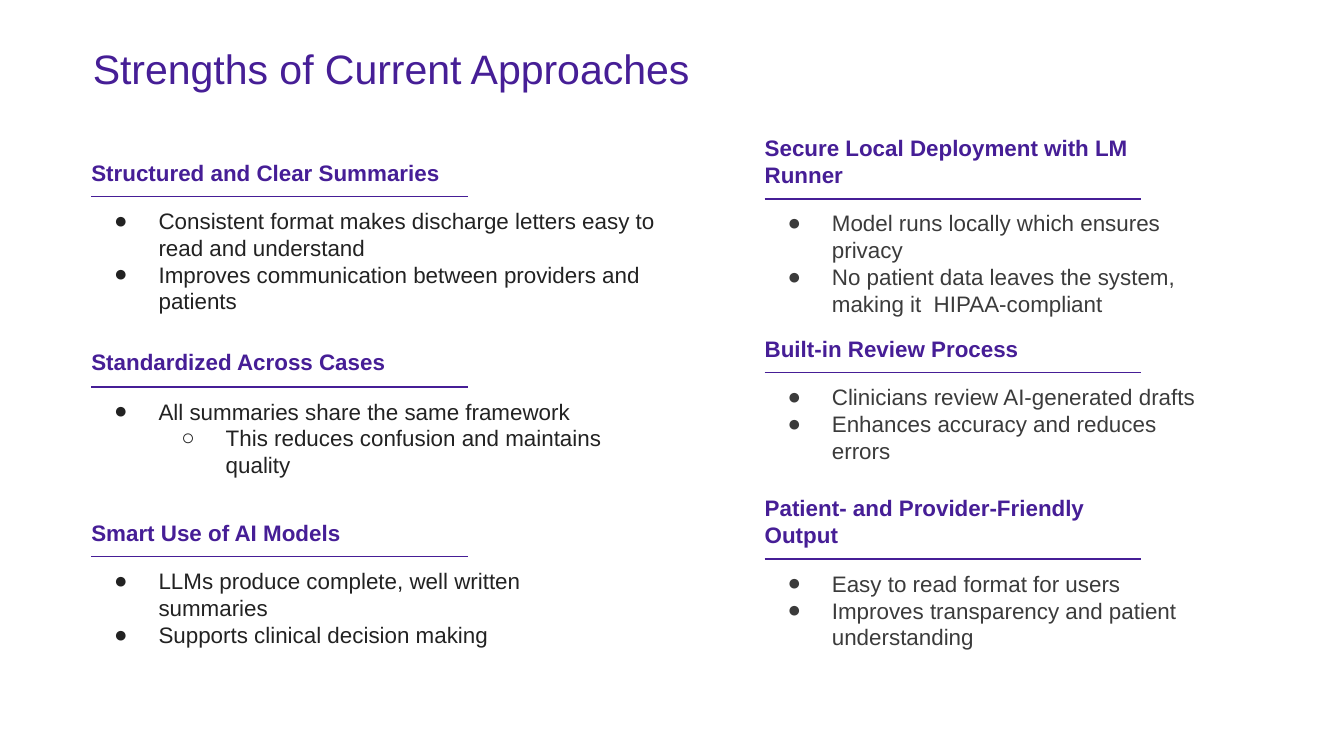
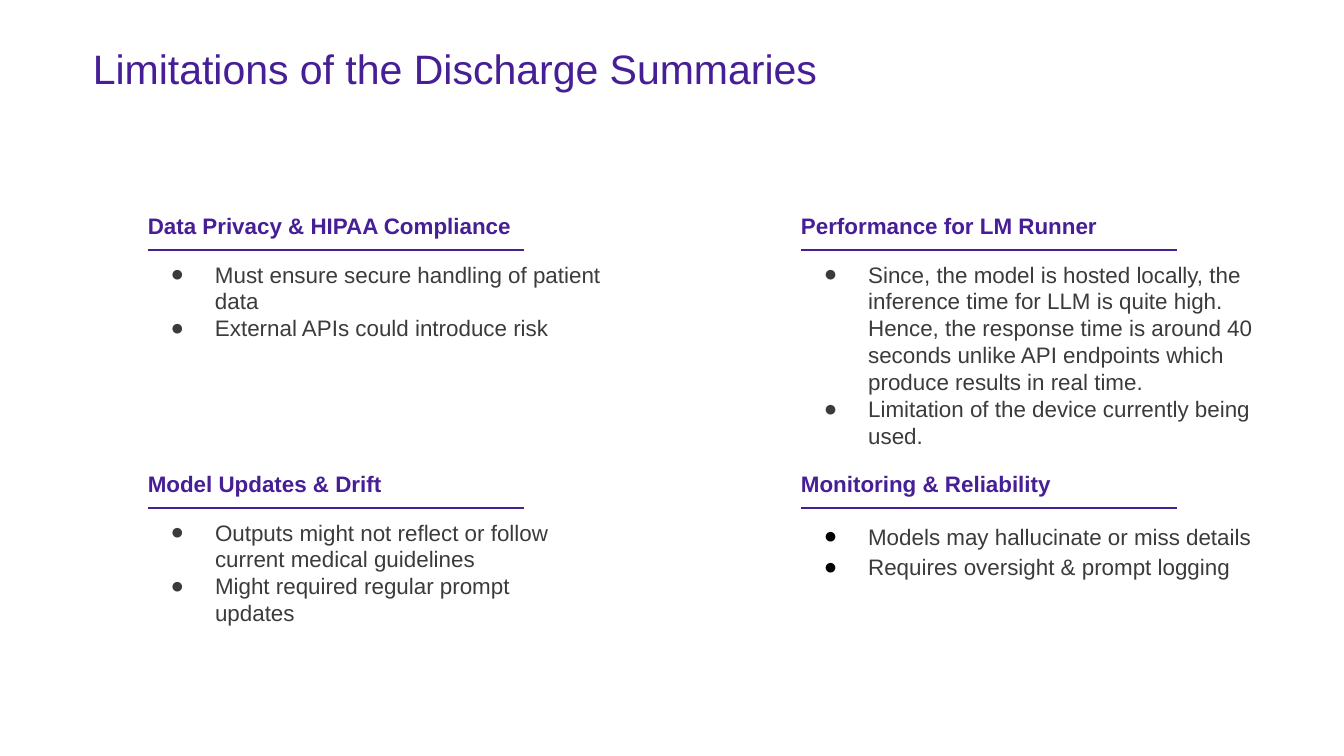
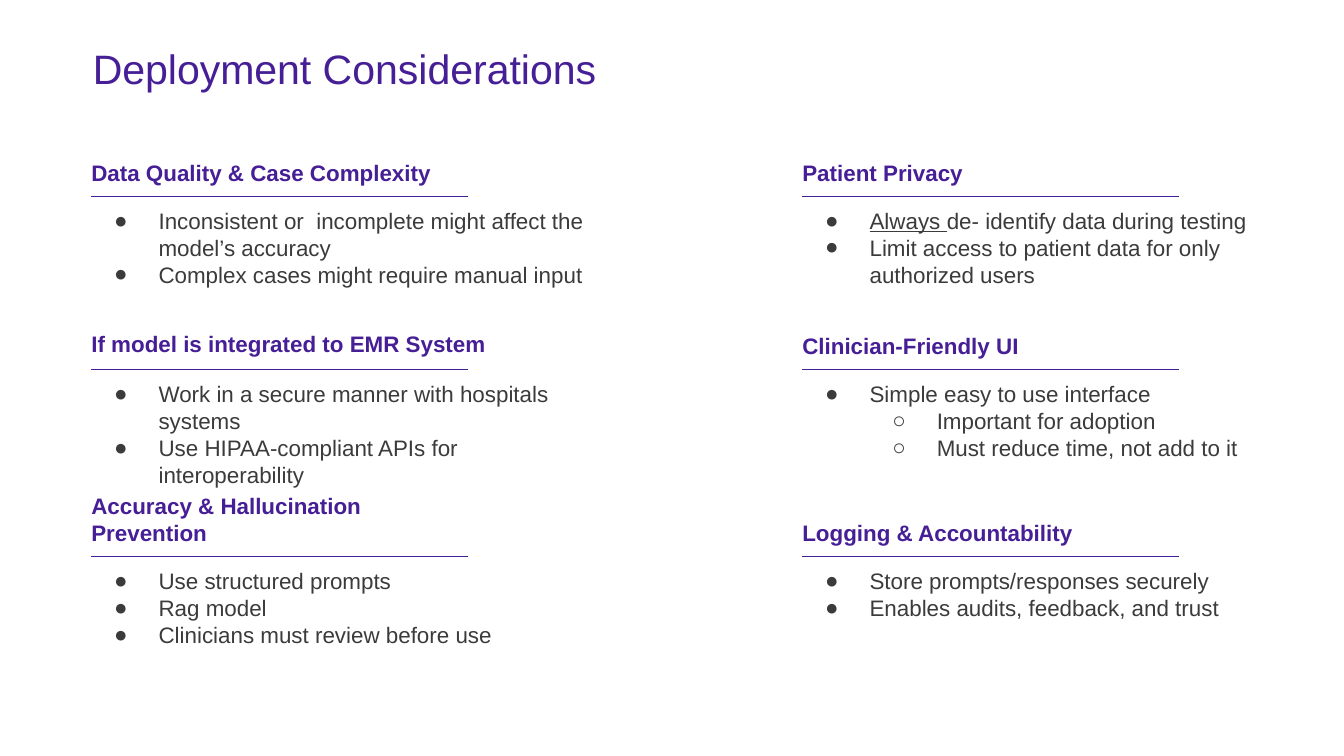
from lxml.etree import SubElement
from pptx import Presentation
from pptx.dml.color import RGBColor
from pptx.enum.shapes import MSO_CONNECTOR
from pptx.enum.text import MSO_ANCHOR
from pptx.oxml.ns import qn
from pptx.util import Inches, Pt

FONT = "Arial"
PURPLE, INK, GREY, BLACK = "461E96", "222222", "3B3B3B", "000000"
RULE_W, HEAD_H = 2.8, 0.39
UNDERLINED = "Always "


def add_box(s, x, y, w, h, anchor=MSO_ANCHOR.TOP):
    tf = s.shapes.add_textbox(Inches(x), Inches(y), Inches(w), Inches(h)).text_frame
    tf.word_wrap = True
    tf.vertical_anchor = anchor
    tf.margin_left = tf.margin_right = tf.margin_top = tf.margin_bottom = 0
    return tf


def add_run(p, text, size, color, bold=False, underline=False):
    r = p.add_run()
    r.text = text
    r.font.name, r.font.size = FONT, Pt(size)
    r.font.bold, r.font.underline = bold, underline
    r.font.color.rgb = RGBColor.from_string(color)


# Slides: title, then sections of (left, rule height, body width, body height,
# heading, bullets), each bullet with its level
slides = [
    ("Strengths of Current Approaches", [
        (0.68, 1.46, 4.45, 0.67, "Structured and Clear Summaries", [
            (0, "Consistent format makes discharge letters easy to read and understand"),
            (0, "Improves communication between providers and patients")]),
        (0.68, 2.88, 3.97, 0.86, "Standardized Across Cases", [
            (0, "All summaries share the same framework"),
            (1, "This reduces confusion and maintains quality")]),
        (0.68, 4.14, 3.97, 0.67, "Smart Use of AI Models", [
            (0, "LLMs produce complete, well written summaries"),
            (0, "Supports clinical decision making")]),
        (5.69, 1.48, 3.37, 0.86, "Secure Local Deployment with LM Runner", [
            (0, "Model runs locally which ensures privacy"),
            (0, "No patient data leaves the system, making it  HIPAA-compliant")]),
        (5.69, 2.77, 3.37, 0.86, "Built-in Review Process", [
            (0, "Clinicians review AI-generated drafts"),
            (0, "Enhances accuracy and reduces errors")]),
        (5.69, 4.16, 3.37, 0.67, "Patient- and Provider-Friendly Output", [
            (0, "Easy to read format for users"),
            (0, "Improves transparency and patient understanding")]),
    ]),
    ("Limitations of the Discharge Summaries", [
        (1.1, 1.86, 3.46, 0.67, "Data Privacy & HIPAA Compliance", [
            (0, "Must ensure secure handling of patient data"),
            (0, "External APIs could introduce risk")]),
        (1.1, 3.78, 3.22, 0.86, "Model Updates & Drift", [
            (0, "Outputs might not reflect or follow current medical guidelines"),
            (0, "Might required regular prompt updates")]),
        (5.96, 1.86, 3.43, 1.43, "Performance for LM Runner", [
            (0, "Since, the model is hosted locally, the inference time for LLM is quite "
                "high. Hence, the response time is around 40 seconds unlike API endpoints "
                "which produce results in real time."),
            (0, "Limitation of the device currently being used.")]),
        (5.96, 3.78, 3.43, 0.67, "Monitoring & Reliability", [
            (0, "Models may hallucinate or miss details"),
            (0, "Requires oversight & prompt logging")]),
    ]),
    ("Deployment Considerations", [
        (0.68, 1.46, 3.71, 0.67, "Data Quality & Case Complexity", [
            (0, "Inconsistent or  incomplete might affect the model’s accuracy"),
            (0, "Complex cases might require manual input")]),
        (0.68, 2.75, 3.71, 0.86, "If model is integrated to EMR System", [
            (0, "Work in a secure manner with hospitals systems"),
            (0, "Use HIPAA-compliant APIs for interoperability")]),
        (0.68, 4.14, 3.71, 0.67, "Accuracy & Hallucination Prevention", [
            (0, "Use structured prompts"),
            (0, "Rag model"),
            (0, "Clinicians must review before use")]),
        (5.97, 1.46, 3.48, 0.67, "Patient Privacy", [
            (0, "Always de- identify data during testing"),
            (0, "Limit access to patient data for only authorized users")]),
        (5.97, 2.75, 3.48, 0.86, "Clinician-Friendly UI", [
            (0, "Simple easy to use interface"),
            (1, "Important for adoption"),
            (1, "Must reduce time, not add to it")]),
        (5.97, 4.14, 3.48, 0.67, "Logging & Accountability", [
            (0, "Store prompts/responses securely"),
            (0, "Enables audits, feedback, and trust")]),
    ]),
]

# Headings that hang from the top of their box, with the box width
top_headings = {"Standardized Across Cases": RULE_W,
                "If model is integrated to EMR System": 3.48}

# 16:9 page
prs = Presentation()
prs.slide_width = Inches(10)
prs.slide_height = prs.slide_width * 9 // 16

for title, sections in slides:
    s = prs.slides.add_slide(prs.slide_layouts[6])
    tf = add_box(s, 0.69, 0.32, 9.02, 0.79)
    add_run(tf.paragraphs[0], title, 22, PURPLE)

    for x, rule_y, body_w, body_h, heading, bullets in sections:
        # Heading
        if heading in top_headings:
            tf = add_box(s, x, rule_y - 0.29, top_headings[heading], HEAD_H)
        else:
            tf = add_box(s, x, rule_y - 0.47, RULE_W, HEAD_H, MSO_ANCHOR.BOTTOM)
        add_run(tf.paragraphs[0], heading, 12, PURPLE, bold=True)

        # Rule under the heading
        rule = s.shapes.add_connector(MSO_CONNECTOR.STRAIGHT, Inches(x), Inches(rule_y),
                                      Inches(x + RULE_W), Inches(rule_y))
        rule.line.color.rgb = RGBColor.from_string(PURPLE)
        rule.line.width = Pt(0.75)
        SubElement(rule._element.spPr, qn("a:effectLst"))

        # Bullets
        loose = heading == "Monitoring & Reliability"
        color = INK if title.startswith("Strengths") and x < 5 else GREY
        tf = add_box(s, x, rule_y + 0.08, body_w, body_h)
        for i, (level, text) in enumerate(bullets):
            p = tf.add_paragraph() if i else tf.paragraphs[0]
            p.level = level
            pPr = p._p.get_or_add_pPr()
            pPr.set("marL", str(Inches(0.5 * (level + 1))))
            pPr.set("indent", str(-Inches(0.33)))
            bullet_color = SubElement(pPr, qn("a:buClr"))
            SubElement(bullet_color, qn("a:srgbClr"), val=BLACK if loose else color)
            SubElement(pPr, qn("a:buFont"), typeface=FONT)
            SubElement(pPr, qn("a:buChar"), char="●○"[level])
            if loose:
                p.line_spacing = 1.15
            if text.startswith(UNDERLINED):
                add_run(p, UNDERLINED, 12, color, underline=True)
                text = text[len(UNDERLINED):]
            add_run(p, text, 12, color)

prs.save("out.pptx")
